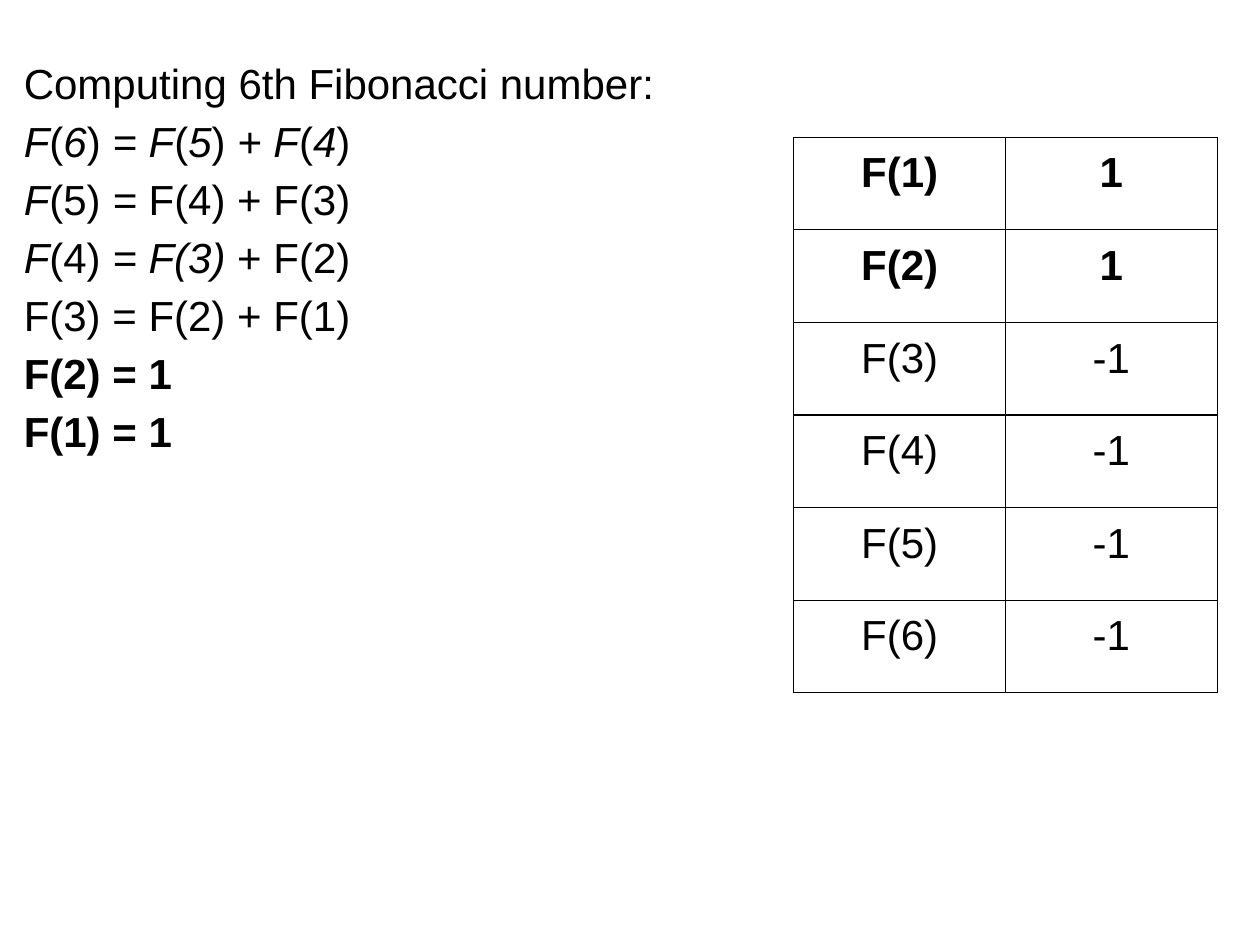
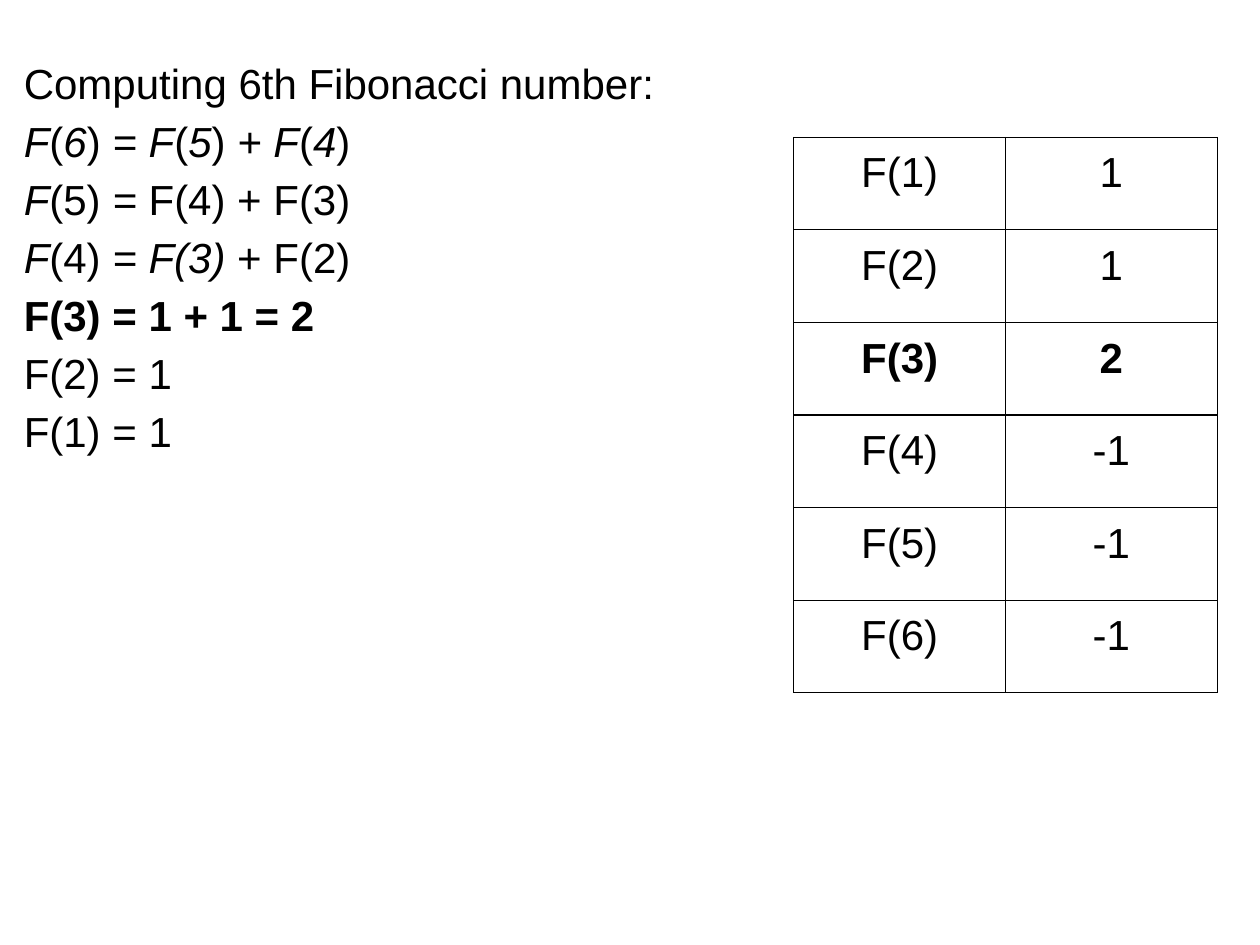
from dataclasses import dataclass

from lxml import etree
from pptx import Presentation
from pptx.dml.color import RGBColor
from pptx.enum.text import MSO_ANCHOR, PP_ALIGN
from pptx.oxml.ns import qn
from pptx.util import Emu, Pt

PX_PER_INCH = 200
EMU_PER_PX = 914400 // PX_PER_INCH
LEFT, CENTER = PP_ALIGN.LEFT, PP_ALIGN.CENTER
TOP = MSO_ANCHOR.TOP
BLANK_LAYOUT = 6
BORDER_TAGS = ("a:lnL", "a:lnR", "a:lnT", "a:lnB")


@dataclass(frozen=True)
class Theme:
    font: str = "Arial"
    size: int = 24
    ink: str = "000000"
    border: float = 0.75
    line_spacing: float = 1.15
    inset: int = 20


@dataclass(frozen=True)
class Box:
    left: int
    top: int
    width: int
    height: int


@dataclass(frozen=True)
class Line:
    text: str
    bold: bool = False


@dataclass(frozen=True)
class Step:
    base_cases: tuple[Line, ...]
    values: tuple[int, ...]
    solved: tuple[int, ...]


THEME = Theme()
WORKING_BOX = Box(18, 60, 1962, 1310)
MEMO_LEFT, MEMO_TOP = 1260, 218
MEMO_COLUMN, MEMO_ROW = 336, 147

EXPANSION = (
    Line("Computing 6th Fibonacci number:"),
    Line("*F*(*6*)* = F*(*5*)* + F*(*4*)"),
    Line("*F*(5)* = *F(4) + F(3)"),
    Line("*F*(4)* = F(3)* + F(2)"),
)

STEPS = (
    Step(
        (Line("F(3) = F(2) + F(1)"), Line("F(2) = 1", True), Line("F(1) = 1", True)),
        (1, 1, -1, -1, -1, -1),
        (1, 2),
    ),
    Step(
        (Line("F(3) = 1 + 1 = 2", True), Line("F(2) = 1"), Line("F(1) = 1")),
        (1, 1, 2, -1, -1, -1),
        (3,),
    ),
)


def px(length: int) -> Emu:
    return Emu(length * EMU_PER_PX)


def write(paragraph, text: str, *, bold: bool = False, align=LEFT, spacing: float = 1.0) -> None:
    paragraph.alignment = align
    paragraph.line_spacing = spacing
    for index, part in enumerate(text.split("*")):
        if not part:
            continue
        run = paragraph.add_run()
        run.text = part
        run.font.name = THEME.font
        run.font.size = Pt(THEME.size)
        run.font.color.rgb = RGBColor.from_string(THEME.ink)
        run.font.bold = bold
        run.font.italic = index % 2 == 1


def set_insets(holder) -> None:
    holder.margin_left = holder.margin_right = px(THEME.inset)
    holder.margin_top = holder.margin_bottom = px(THEME.inset)


def add_working(slide, box: Box, lines: tuple[Line, ...]) -> None:
    working = slide.shapes.add_textbox(
        px(box.left), px(box.top), px(box.width), px(box.height)
    ).text_frame
    working.word_wrap = True
    working.vertical_anchor = TOP
    set_insets(working)
    for index, line in enumerate(lines):
        paragraph = working.add_paragraph() if index else working.paragraphs[0]
        write(paragraph, line.text, bold=line.bold, spacing=THEME.line_spacing)


def add_borders(cell) -> None:
    properties = cell._tc.get_or_add_tcPr()
    for position, tag in enumerate(BORDER_TAGS):
        border = etree.Element(qn(tag), w=str(Pt(THEME.border)))
        fill = etree.SubElement(border, qn("a:solidFill"))
        etree.SubElement(fill, qn("a:srgbClr"), val=THEME.ink)
        properties.insert(position, border)


def add_memo(slide, step: Step) -> None:
    count = len(step.values)
    memo = slide.shapes.add_table(
        count, 2, px(MEMO_LEFT), px(MEMO_TOP), px(2 * MEMO_COLUMN), px(count * MEMO_ROW)
    ).table
    memo.first_row = memo.horz_banding = False
    for number, value in enumerate(step.values, start=1):
        for column, text in enumerate((f"F({number})", str(value))):
            cell = memo.cell(number - 1, column)
            cell.fill.background()
            cell.vertical_anchor = TOP
            set_insets(cell)
            add_borders(cell)
            write(
                cell.text_frame.paragraphs[0],
                text,
                bold=number in step.solved,
                align=CENTER,
            )


def main() -> None:
    deck = Presentation()
    deck.slide_width, deck.slide_height = px(2000), px(1500)
    for step in STEPS:
        slide = deck.slides.add_slide(deck.slide_layouts[BLANK_LAYOUT])
        add_working(slide, WORKING_BOX, EXPANSION + step.base_cases)
        add_memo(slide, step)
    deck.save("out.pptx")


if __name__ == "__main__":
    main()
